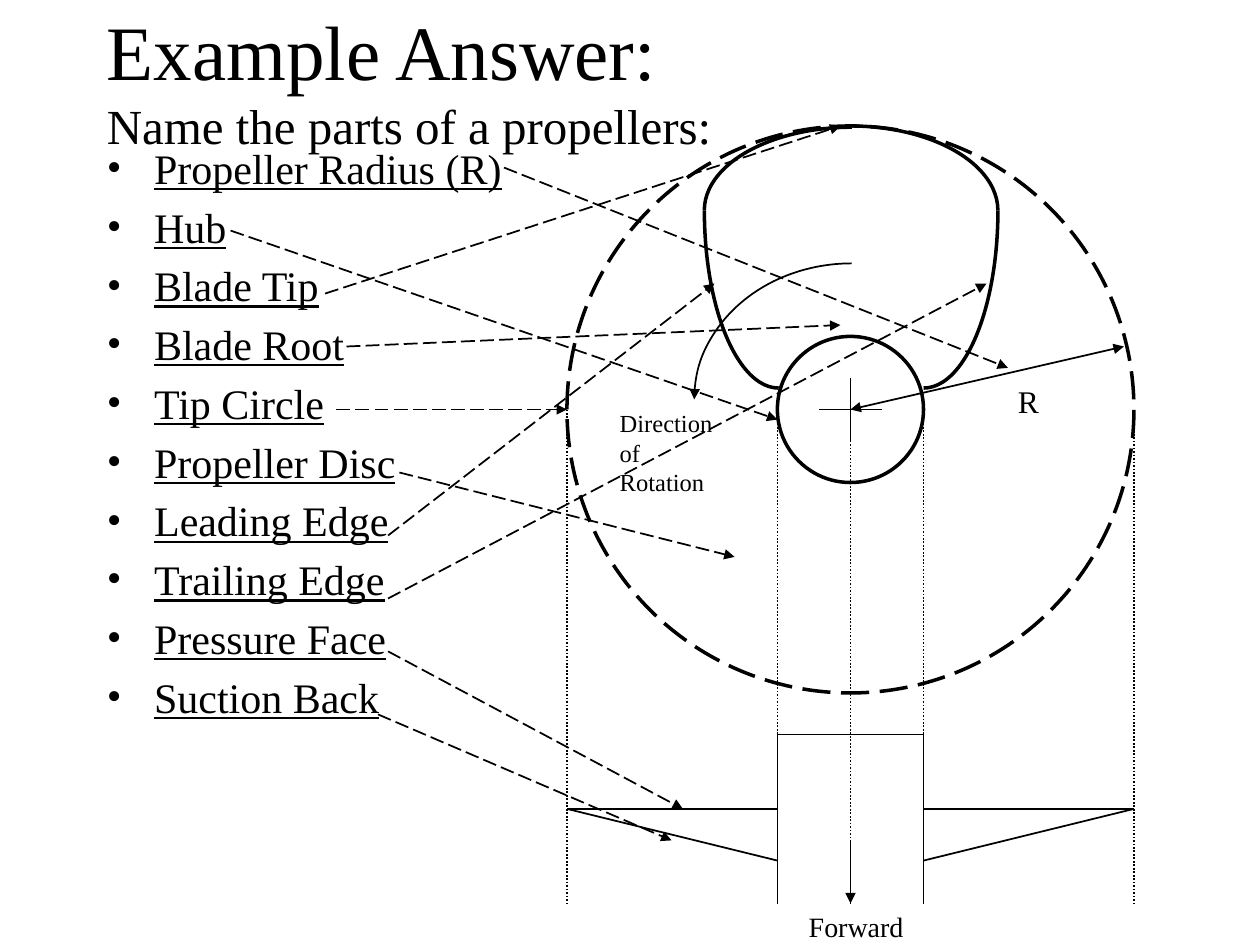
from lxml.etree import SubElement
from pptx import Presentation
from pptx.dml.color import RGBColor
from pptx.enum.dml import MSO_LINE
from pptx.enum.shapes import MSO_CONNECTOR, MSO_SHAPE
from pptx.enum.text import MSO_ANCHOR
from pptx.oxml.ns import qn
from pptx.util import Inches, Pt

THEME = {
    "font": "Times New Roman", "ink": RGBColor(0, 0, 0),
    "title": 44, "sub": 28, "list": 24, "radius": 18, "forward": 16, "turn": 14,
    "thin": 1, "bold": 2,
}
DASH, DOT = MSO_LINE.LONG_DASH, MSO_LINE.ROUND_DOT

TITLE = ("Example Answer:", "Name the parts of a propellers:")
PARTS = [
    ("Propeller Radius (R)", (4, 1.33), (8, 2.92)),
    ("Hub", (1.83, 1.83), (6.17, 3.33)),
    ("Blade Tip", (2.58, 2.33), (6.67, 1)),
    ("Blade Root", (2.75, 2.75), (6.67, 2.58)),
    ("Tip Circle", (2.67, 3.25), (4.5, 3.25)),
    ("Propeller Disc", (3.17, 3.75), (5.83, 4.42)),
    ("Leading Edge", (3.08, 4.25), (5.67, 2.25)),
    ("Trailing Edge", (3.08, 4.75), (7.83, 2.25)),
    ("Pressure Face", (3.08, 5.17), (5.42, 6.42)),
    ("Suction Back", (3, 5.67), (5.33, 6.67)),
]
LABELS = [
    ("Direction\nof Rotation", (4.82, 3.19, 1.05, 0.56), "turn", True),
    ("Forward", (6.32, 7.17, 0.95, 0.36), "forward", False),
    ("R", (7.98, 2.98, 0.36, 0.4), "radius", False),
]
MID, AXIS = 6.75, 3.25
DISC, HUB = 2.25, 0.58
TOP, WING, ROOT, END = 5.83, 6.42, 6.83, 7.17
BLADE = [
    ((6.75, 1), (7.92, 1.67), 270),
    ((5.59, 1.67), (6.76, 1.01), 180),
    ((6.18, 3.08), (5.59, 1.67), 90),
    ((7.92, 1.67), (7.33, 3.08), 0),
]
TURN = ((5.51, 3.17), (6.76, 2.09), 180)

deck = Presentation()
deck.slide_width, deck.slide_height = Inches(10), Inches(7.5)
slide = deck.slides.add_slide(deck.slide_layouts[6])
shapes = slide.shapes


def stroke(item, width, dash=None, ends=()):
    item.line.color.rgb = THEME["ink"]
    item.line.width = Pt(THEME[width])
    if dash:
        item.line.dash_style = dash
    edge = item.element.spPr.find(qn("a:ln"))
    for end in ends:
        SubElement(edge, qn(f"a:{end}End"), type="triangle")


def join(start, stop, dash=None, ends=()):
    line = shapes.add_connector(
        MSO_CONNECTOR.STRAIGHT, *(Inches(n) for n in (*start, *stop)))
    stroke(line, "thin", dash, ends)
    SubElement(line.element.spPr, qn("a:effectLst"))


def ring(size, dash=None):
    oval = shapes.add_shape(
        MSO_SHAPE.OVAL, Inches(MID - size), Inches(AXIS - size),
        Inches(2 * size), Inches(2 * size))
    oval.shadow.inherit = False
    oval.fill.background()
    stroke(oval, "bold", dash)


def bend(start, stop, first, width, ends=()):
    pen = shapes.build_freeform(*(Inches(n) for n in start))
    pen.add_line_segments([tuple(Inches(n) for n in stop)], close=False)
    curve = pen.convert_to_shape()
    track = next(curve.element.iter(qn("a:path")))
    track.remove(track.find(qn("a:lnTo")))
    SubElement(track, qn("a:arcTo"), wR=str(curve.width), hR=str(curve.height),
               stAng=str(first * 60000), swAng=str(90 * 60000))
    curve.shadow.inherit = False
    curve.fill.background()
    stroke(curve, width, None, ends)


def write(text, place, size, wrap=True):
    box = shapes.add_textbox(*(Inches(n) for n in place))
    frame = box.text_frame
    frame.word_wrap = wrap
    frame.text = text
    for para in frame.paragraphs:
        for run in para.runs:
            run.font.name = THEME["font"]
            run.font.size = Pt(THEME[size])
            run.font.color.rgb = THEME["ink"]
    return frame


head = write("\v".join(TITLE), (0.75, 0, 8.5, 1.25), "title")
head.vertical_anchor = MSO_ANCHOR.MIDDLE
head.paragraphs[0].runs[1].font.size = Pt(THEME["sub"])

names = write("\n".join(p[0] for p in PARTS), (0.75, 1.08, 8.5, 4.5), "list")
for para in names.paragraphs:
    para.space_before = Pt(4.8)
    para.runs[0].font.underline = True
    props = para._p.get_or_add_pPr()
    props.set("marL", str(Pt(27)))
    props.set("indent", str(-Pt(27)))
    SubElement(props, qn("a:buFont"), typeface=THEME["font"])
    SubElement(props, qn("a:buChar"), char="•")

ring(DISC, DASH)
ring(HUB)
for part in BLADE:
    bend(*part, "bold")
bend(*TURN, "thin", ["head"])

join((MID - 0.25, AXIS), (MID + 0.25, AXIS))
join((MID, AXIS - 0.25), (MID, AXIS + 0.25))
join((MID, AXIS), (8.92, 2.75), ends=["head", "tail"])
for name, start, stop in PARTS:
    join(start, stop, DASH, ["tail"])

for x in (MID - DISC, MID - HUB, MID, MID + HUB, MID + DISC):
    join((x, AXIS), (x, END), DOT)
join((MID - HUB, TOP), (MID + HUB, TOP))
for side in (-1, 1):
    hub, tip = MID + side * HUB, MID + side * DISC
    join((hub, TOP), (hub, END))
    join((hub, WING), (tip, WING))
    join((tip, WING), (hub, ROOT))
join((MID, 6.67), (MID, END), ends=["tail"])

for label in LABELS:
    write(*label)

deck.save("out.pptx")
